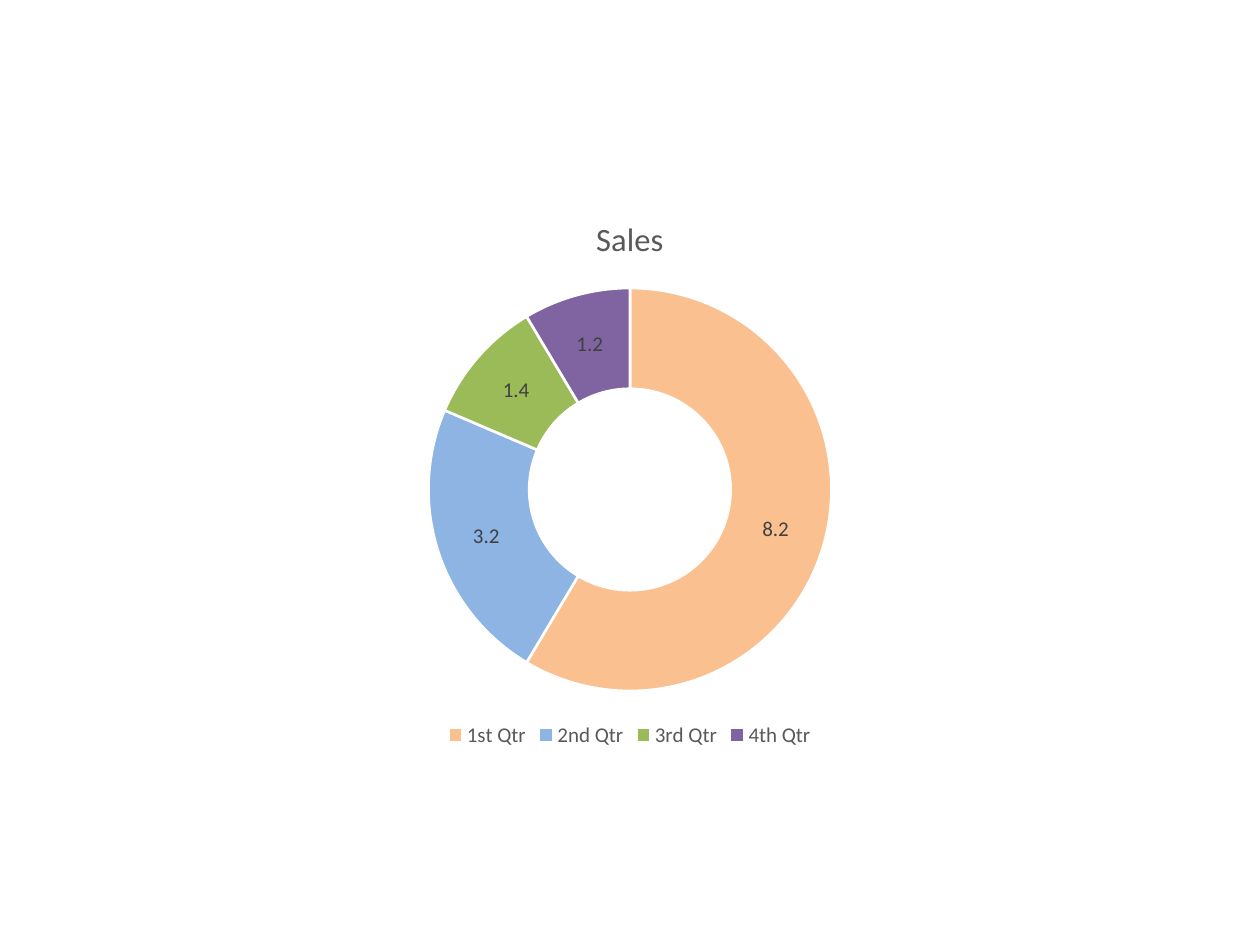
"""Build a slide with a doughnut chart of sales by quarter."""
from dataclasses import dataclass

from pptx import Presentation
from pptx import util as u
from pptx.chart import data
from pptx.dml.color import RGBColor
from pptx.enum import chart as kinds

TITLE = "Sales"
QUARTERS = [
    ("1st Qtr", 8.2, "FAC090"),
    ("2nd Qtr", 3.2, "8EB4E3"),
    ("3rd Qtr", 1.4, "9BBB59"),
    ("4th Qtr", 1.2, "8064A2"),
]
SLIDE_SIZE = (720, 540)
CHART_SIZE = (480, 320)
HOLE_PERCENT = 65


@dataclass(frozen=True)
class Theme:
    face: str = "Calibri"
    heading: str = "595959"
    label: str = "404040"
    border: str = "FFFFFF"
    border_width: float = 1.5
    title_size: float = 18.6
    text_size: float = 12


THEME = Theme()


def style_font(font, size, color):
    font.name = THEME.face
    font.size = u.Pt(size)
    font.bold = False
    font.color.rgb = RGBColor.from_string(color)


def add_doughnut(slide):
    sales = data.CategoryChartData()
    sales.categories = [name for name, _, _ in QUARTERS]
    sales.add_series(TITLE, [value for _, value, _ in QUARTERS])
    left, top = [(outer - inner) / 2 for outer, inner in zip(SLIDE_SIZE, CHART_SIZE)]
    frame = [u.Pt(length) for length in (left, top, *CHART_SIZE)]
    chart = slide.shapes.add_chart(kinds.XL_CHART_TYPE.DOUGHNUT, *frame, sales).chart
    style_font(chart.font, THEME.text_size, THEME.heading)

    chart.has_title = True
    chart.chart_title.include_in_layout = False
    para = chart.chart_title.text_frame.paragraphs[0]
    para.text = TITLE
    style_font(para.font, THEME.title_size, THEME.heading)

    chart.has_legend = True
    chart.legend.position = kinds.XL_LEGEND_POSITION.BOTTOM
    chart.legend.include_in_layout = False
    style_font(chart.legend.font, THEME.text_size, THEME.heading)

    plot = chart.plots[0]
    plot.vary_by_categories = True
    for hole in plot._element.xpath("c:holeSize"):
        hole.set("val", str(HOLE_PERCENT))

    series = plot.series[0]
    labels = series.data_labels
    labels.show_value = True
    labels.show_percentage = False
    style_font(labels.font, THEME.text_size, THEME.label)
    for index, (_, _, color) in enumerate(QUARTERS):
        part = series.points[index].format
        part.fill.solid()
        part.fill.fore_color.rgb = RGBColor.from_string(color)
        part.line.color.rgb = RGBColor.from_string(THEME.border)
        part.line.width = u.Pt(THEME.border_width)


def main():
    deck = Presentation()
    deck.slide_width, deck.slide_height = [u.Pt(side) for side in SLIDE_SIZE]
    blank = deck.slide_layouts.get_by_name("Blank")
    add_doughnut(deck.slides.add_slide(blank))
    deck.save("out.pptx")


if __name__ == "__main__":
    main()
